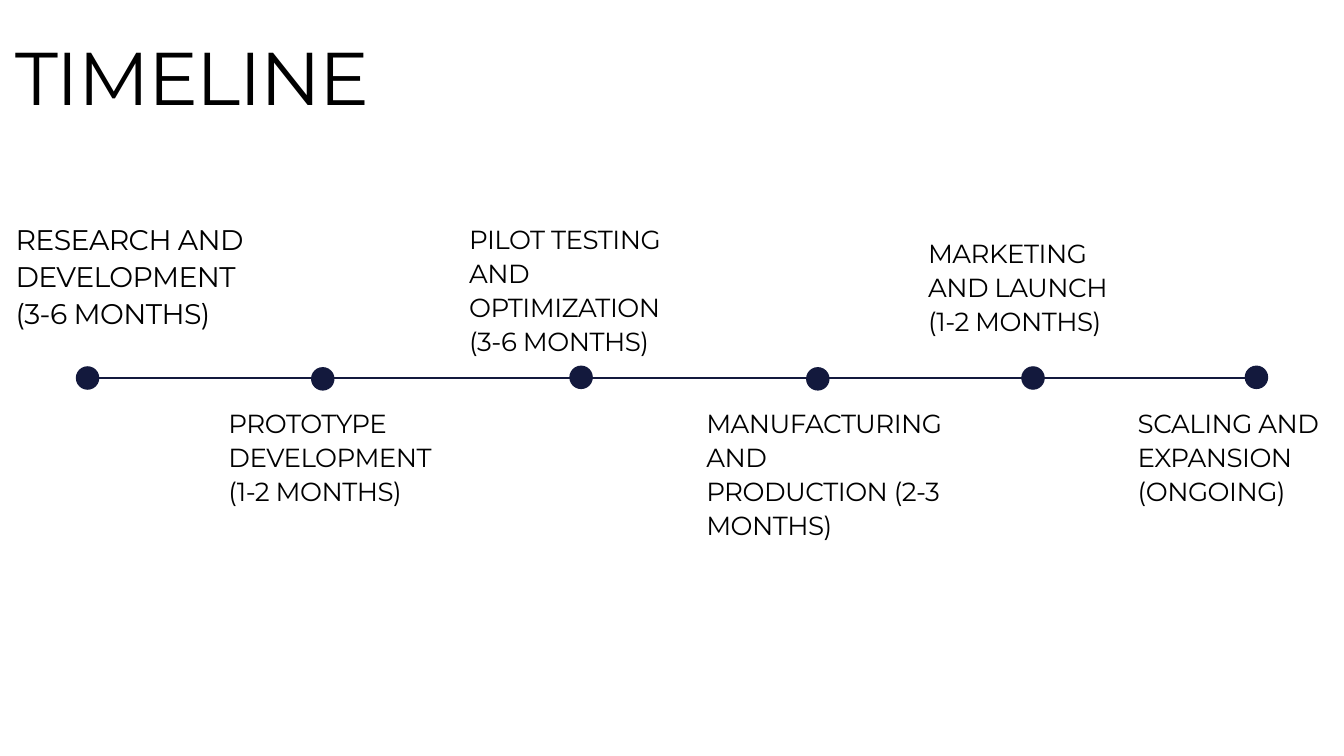
"""Build a six-phase project timeline slide."""
from lxml import etree
from pptx import Presentation
from pptx.dml.color import RGBColor
from pptx.enum import shapes, text
from pptx.oxml import ns
from pptx.util import Pt

NAVY, BLACK, FONT = "13193D", "000000", "Montserrat"
WIDE, HIGH, DOT, AXIS = 1440, 810, 25.2, 405
LOW = 433.4
TITLE = ("TIMELINE", 16.6, 33.1, 1278, 95.8, 80, 96, -1.5)
BIG, BODY = (30.4, 39.6, -0.6), (28, 36.4, -0.5)
# dot centre x, dot offset from axis, words, left, top, width, height, style
PHASES = [
    (93.8, 0, "RESEARCH AND DEVELOPMENT (3-6 MONTHS)", 16.6, 235.4, 248.4, 155.5, BIG),
    (345.8, 0.9, "PROTOTYPE DEVELOPMENT (1-2 MONTHS)", 244.8, LOW, 228.2, 106.6, BODY),
    (622.6, -0.7, "PILOT TESTING AND OPTIMIZATION (3-6 MONTHS)", 502.6, 236.2, 223.9, 142.6, BODY),
    (876.2, 0.9, "MANUFACTURING AND PRODUCTION (2-3 MONTHS)", 756.7, LOW, 265, 142.6, BODY),
    (1106.8, 0, "MARKETING AND LAUNCH (1-2 MONTHS)", 994.3, 252, 224.6, 106.6, BODY),
    (1346.2, -0.7, "SCALING AND EXPANSION (ONGOING)", 1219, LOW, 215.3, 106.6, BODY),
]


def tint(code):
    return RGBColor.from_string(code)


def label(slide, words, x, y, w, h, size, lead, track):
    box = slide.shapes.add_textbox(Pt(x), Pt(y), Pt(w), Pt(h))
    frame = box.text_frame
    frame.word_wrap = True
    frame.auto_size = text.MSO_AUTO_SIZE.SHAPE_TO_FIT_TEXT
    frame.margin_left = frame.margin_right = 0
    frame.margin_top = frame.margin_bottom = 0
    para = frame.paragraphs[0]
    para.line_spacing = Pt(lead)
    run = para.add_run()
    run.text = words
    run.font.name = FONT
    run.font.size = Pt(size)
    run.font.color.rgb = tint(BLACK)
    run._r.get_or_add_rPr().set("spc", str(round(track * 100)))


def axis(slide, start, end):
    line = slide.shapes.add_connector(
        shapes.MSO_CONNECTOR.STRAIGHT, Pt(start), Pt(AXIS), Pt(end), Pt(AXIS))
    line.line.color.rgb = tint(NAVY)
    line.line.width = Pt(1.5)
    etree.SubElement(line._element.spPr, ns.qn("a:effectLst"))


def dot(slide, x, y):
    mark = slide.shapes.add_shape(
        shapes.MSO_SHAPE.OVAL, Pt(x - DOT / 2), Pt(y - DOT / 2), Pt(DOT), Pt(DOT))
    mark.shadow.inherit = False
    mark.fill.solid()
    mark.fill.fore_color.rgb = tint(NAVY)
    mark.line.fill.background()


def main():
    deck = Presentation()
    deck.slide_width, deck.slide_height = Pt(WIDE), Pt(HIGH)
    slide = deck.slides.add_slide(deck.slide_layouts[6])
    axis(slide, PHASES[0][0], PHASES[-1][0] + DOT / 2)
    label(slide, *TITLE)
    for x, shift, words, left, top, w, h, style in PHASES:
        dot(slide, x, AXIS + shift)
        label(slide, words, left, top, w, h, *style)
    deck.save("out.pptx")


if __name__ == "__main__":
    main()
